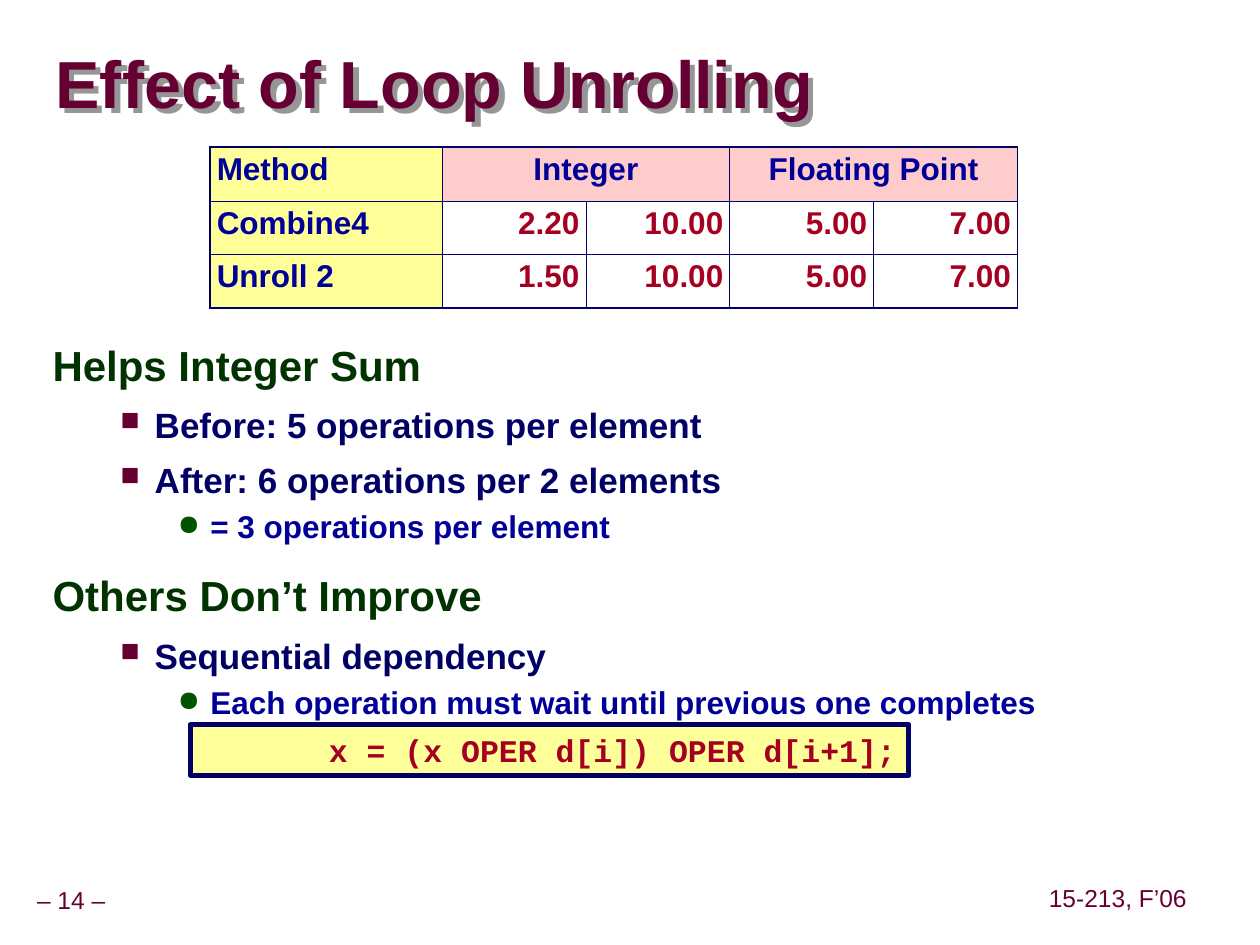
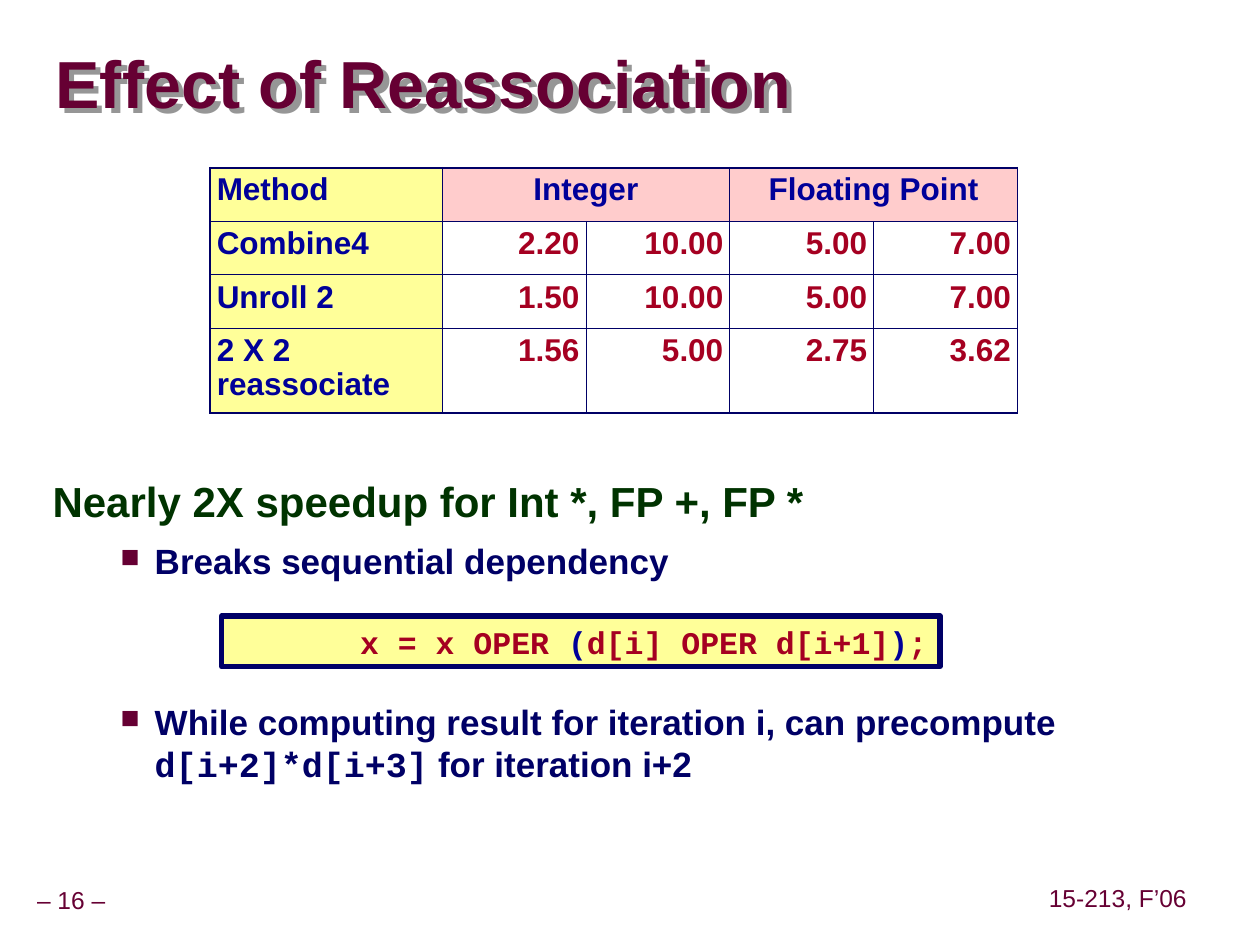
"""Build two lecture slides on loop unrolling and reassociation."""
from dataclasses import dataclass
from typing import NamedTuple, Optional

from lxml.etree import SubElement
from pptx import Presentation
from pptx.dml.color import RGBColor
from pptx.enum.shapes import MSO_SHAPE as Preset
from pptx.enum.text import MSO_ANCHOR as Anchor, MSO_AUTO_SIZE as AutoSize, PP_ALIGN as Align
from pptx.oxml.ns import qn
from pptx.util import Cm, Pt

COLORS = {
    "maroon": "660033", "navy": "000066", "blue": "000099", "red": "A50021",
    "forest": "003300", "green": "005400", "yellow": "FFFF99", "pink": "FFCCCC",
    "shadow": "969696",
}
SANS, MONO = "Arial", "Courier New"
COLUMN_WIDTHS = [4.67] + [2.9] * 4
ROW_HEIGHT = 1.08
THIN, THICK = 0.45, 1.08
METHODS = [
    ("Combine4", "2.20", "10.00", "5.00", "7.00"),
    ("Unroll 2", "1.50", "10.00", "5.00", "7.00"),
    ("2 X 2 reassociate", "1.56", "5.00", "2.75", "3.62"),
]


class Frame(NamedTuple):
    """Position and size in centimetres."""
    left: float
    top: float
    width: float
    height: float

    def lengths(self) -> list:
        return [Cm(value) for value in self]


class Span(NamedTuple):
    """A stretch of text with its own colour or font."""
    text: str
    color: Optional[str] = None
    font: Optional[str] = None


class Bullet(NamedTuple):
    """A bullet sign with its colour and size in percent."""
    sign: str
    color: str
    percent: int


class Level(NamedTuple):
    """Format of one outline level."""
    size: float
    color: str
    margin: float
    hanging: float
    before: float
    spacing: float
    bullet: Optional[Bullet] = None


class Item(NamedTuple):
    """One outline paragraph."""
    level: int
    spans: list
    before: Optional[float] = None


@dataclass
class Lesson:
    """Everything that differs between the slides."""
    number: int
    title: str
    table_top: float
    row_heights: list
    body: Frame
    items: list
    code: Frame
    code_spans: list


LEVELS = [
    Level(24, "forest", 1.07, 1.07, 16.2, 0.95),
    Level(20, "navy", 2.06, 0.69, 7.3, 1.0, Bullet("■", "maroon", 75)),
    Level(18, "blue", 3.18, 0.66, 2.6, 1.07, Bullet("●", "green", 90)),
]

LESSONS = [
    Lesson(
        14, "Effect of Loop Unrolling", 2.97, [ROW_HEIGHT] * 3,
        Frame(0.81, 6.78, 23.09, 11.13),
        [
            Item(0, [Span("Helps Integer Sum")]),
            Item(1, [Span("Before: 5 operations per element")]),
            Item(1, [Span("After: 6 operations per 2 elements")]),
            Item(2, [Span("= 3 operations per element")]),
            Item(0, [Span("Others Don’t Improve")]),
            Item(1, [Span("Sequential dependency")]),
            Item(2, [Span("Each operation must wait until previous one completes")]),
        ],
        Frame(3.84, 14.61, 14.48, 1.02),
        [Span("\tx = (x OPER d[i]) OPER d[i+1];")],
    ),
    Lesson(
        16, "Effect of Reassociation", 3.38, [ROW_HEIGHT] * 3 + [1.7],
        Frame(0.81, 9.53, 23.09, 8.38),
        [
            Item(0, [Span("Nearly 2X speedup for Int *, FP +, FP *")]),
            Item(1, [Span("Breaks sequential dependency")]),
            Item(1, [Span("While computing result for iteration i, can precompute "),
                     Span("d[i+2]*d[i+3]", font=MONO),
                     Span(" for iteration i+2")], before=68),
        ],
        Frame(4.47, 12.42, 14.48, 1.02),
        [Span("\tx = x OPER "), Span("(", "blue"), Span("d[i] OPER d[i+1]"),
         Span(")", "blue"), Span(";")],
    ),
]


def rgb(name: str) -> RGBColor:
    """Look up a named colour."""
    return RGBColor.from_string(COLORS[name])


def add_color(parent, name: str) -> None:
    """Append an srgbClr element."""
    SubElement(parent, qn("a:srgbClr"), val=COLORS[name])


def write(para, spans: list, size: float, color: str, font: str = SANS,
          bold: bool = True) -> None:
    """Write the spans into a paragraph and format its runs."""
    for span in spans:
        run = para.add_run()
        run.text = span.text
        run.font.size = Pt(size)
        run.font.bold = bold
        run.font.name = span.font or font
        run.font.color.rgb = rgb(span.color or color)


def set_insets(target, side: float, end: float) -> None:
    """Set the margins of a text frame or a cell."""
    target.margin_left = target.margin_right = Cm(side)
    target.margin_top = target.margin_bottom = Cm(end)


def add_title(page, text: str) -> None:
    """Place the title placeholder and give it a hard shadow."""
    title = page.shapes.title
    title.left, title.top, title.width, title.height = Frame(1.12, 0.69, 24.21, 2.16).lengths()
    title.fill.background()
    effects = SubElement(title.element.spPr, qn("a:effectLst"))
    shadow = SubElement(effects, qn("a:outerShdw"), dist="53882", dir="2700000",
                        algn="ctr", rotWithShape="0")
    add_color(shadow, "shadow")
    frame = title.text_frame
    frame.auto_size = AutoSize.NONE
    frame.vertical_anchor = Anchor.MIDDLE
    set_insets(frame, 0, 0)
    para = frame.paragraphs[0]
    para.alignment = Align.LEFT
    para.line_spacing = 0.87
    write(para, [Span(text)], 38, "maroon")


def add_footer(page, place: Frame, text: str) -> None:
    """Add one footer label."""
    frame = page.shapes.add_textbox(*place.lengths()).text_frame
    frame.word_wrap = False
    frame.vertical_anchor = Anchor.MIDDLE
    set_insets(frame, 0.13, 0.13)
    para = frame.paragraphs[0]
    para.alignment = Align.CENTER
    para.line_spacing = 0.9
    write(para, [Span(text)], 14, "maroon", bold=False)


def set_borders(cell, widths: dict) -> None:
    """Draw the cell's borders, given a width in points for each side."""
    properties = cell._tc.get_or_add_tcPr()
    for side, width in widths.items():
        line = SubElement(properties, qn(f"a:ln{side}"), w=str(Pt(width)))
        add_color(SubElement(line, qn("a:solidFill")), "navy")


def add_timings(page, top: float, heights: list) -> None:
    """Add the table of cycles per element."""
    rows = [("Method", "Integer", "", "Floating Point", "")] + METHODS[:len(heights) - 1]
    place = Frame(4.24, top, sum(COLUMN_WIDTHS), sum(heights))
    table = page.shapes.add_table(len(rows), len(COLUMN_WIDTHS), *place.lengths()).table
    table.first_row = table.horz_banding = False
    for column, width in zip(table.columns, COLUMN_WIDTHS):
        column.width = Cm(width)
    last_row, last_column = len(rows) - 1, len(COLUMN_WIDTHS) - 1
    for r, values in enumerate(rows):
        table.rows[r].height = Cm(heights[r])
        for c, value in enumerate(values):
            cell = table.cell(r, c)
            set_borders(cell, {
                "L": THIN if c else THICK,
                "R": THICK if c == last_column else THIN,
                "T": THIN if r else THICK,
                "B": THICK if r == last_row else THIN,
            })
            set_insets(cell, 0.13, 0.13)
            if r and c:
                cell.fill.background()
                color, align = "red", Align.RIGHT
            else:
                cell.fill.solid()
                cell.fill.fore_color.rgb = rgb("pink" if c else "yellow")
                color, align = "blue", Align.CENTER if c else Align.LEFT
            if value:
                para = cell.text_frame.paragraphs[0]
                para.alignment = align
                para.line_spacing = 0.95
                write(para, [Span(value)], 18, color)
    for c in (1, 3):
        table.cell(0, c).merge(table.cell(0, c + 1))


def add_outline(page, place: Frame, items: list) -> None:
    """Add the body text with its levels and bullets."""
    frame = page.shapes.add_textbox(*place.lengths()).text_frame
    frame.word_wrap = True
    set_insets(frame, 0.25, 0.13)
    for index, item in enumerate(items):
        level = LEVELS[item.level]
        para = frame.add_paragraph() if index else frame.paragraphs[0]
        para.level = item.level
        properties = para._p.get_or_add_pPr()
        properties.set("marL", str(Cm(level.margin)))
        properties.set("indent", str(-Cm(level.hanging)))
        if level.bullet:
            add_color(SubElement(properties, qn("a:buClr")), level.bullet.color)
            SubElement(properties, qn("a:buSzPct"), val=str(level.bullet.percent * 1000))
            SubElement(properties, qn("a:buChar"), char=level.bullet.sign)
        para.line_spacing = level.spacing
        if index:
            para.space_before = Pt(item.before or level.before)
        write(para, item.spans, level.size, level.color)


def add_code(page, place: Frame, spans: list) -> None:
    """Add the framed line of code."""
    box = page.shapes.add_shape(Preset.RECTANGLE, *place.lengths())
    box.shadow.inherit = False
    box.fill.solid()
    box.fill.fore_color.rgb = rgb("yellow")
    box.line.color.rgb = rgb("navy")
    box.line.width = Pt(3)
    frame = box.text_frame
    frame.word_wrap = False
    frame.vertical_anchor = Anchor.TOP
    set_insets(frame, 0.25, 0.13)
    para = frame.paragraphs[0]
    para.alignment = Align.LEFT
    tabs = SubElement(para._p.get_or_add_pPr(), qn("a:tabLst"))
    SubElement(tabs, qn("a:tab"), pos=str(Cm(2.54)), algn="l")
    write(para, spans, 18, "red", MONO)


def main() -> None:
    """Build and save the deck."""
    deck = Presentation()
    deck.slide_width, deck.slide_height = Cm(25.4), Cm(19.05)
    for lesson in LESSONS:
        page = deck.slides.add_slide(deck.slide_layouts[5])
        add_footer(page, Frame(-0.23, 17.78, 3.33, 0.79), f"– {lesson.number} –")
        add_footer(page, Frame(21.01, 17.75, 3.05, 0.79), "15-213, F’06")
        add_timings(page, lesson.table_top, lesson.row_heights)
        add_title(page, lesson.title)
        add_outline(page, lesson.body, lesson.items)
        add_code(page, lesson.code, lesson.code_spans)
    deck.save("out.pptx")


if __name__ == "__main__":
    main()
